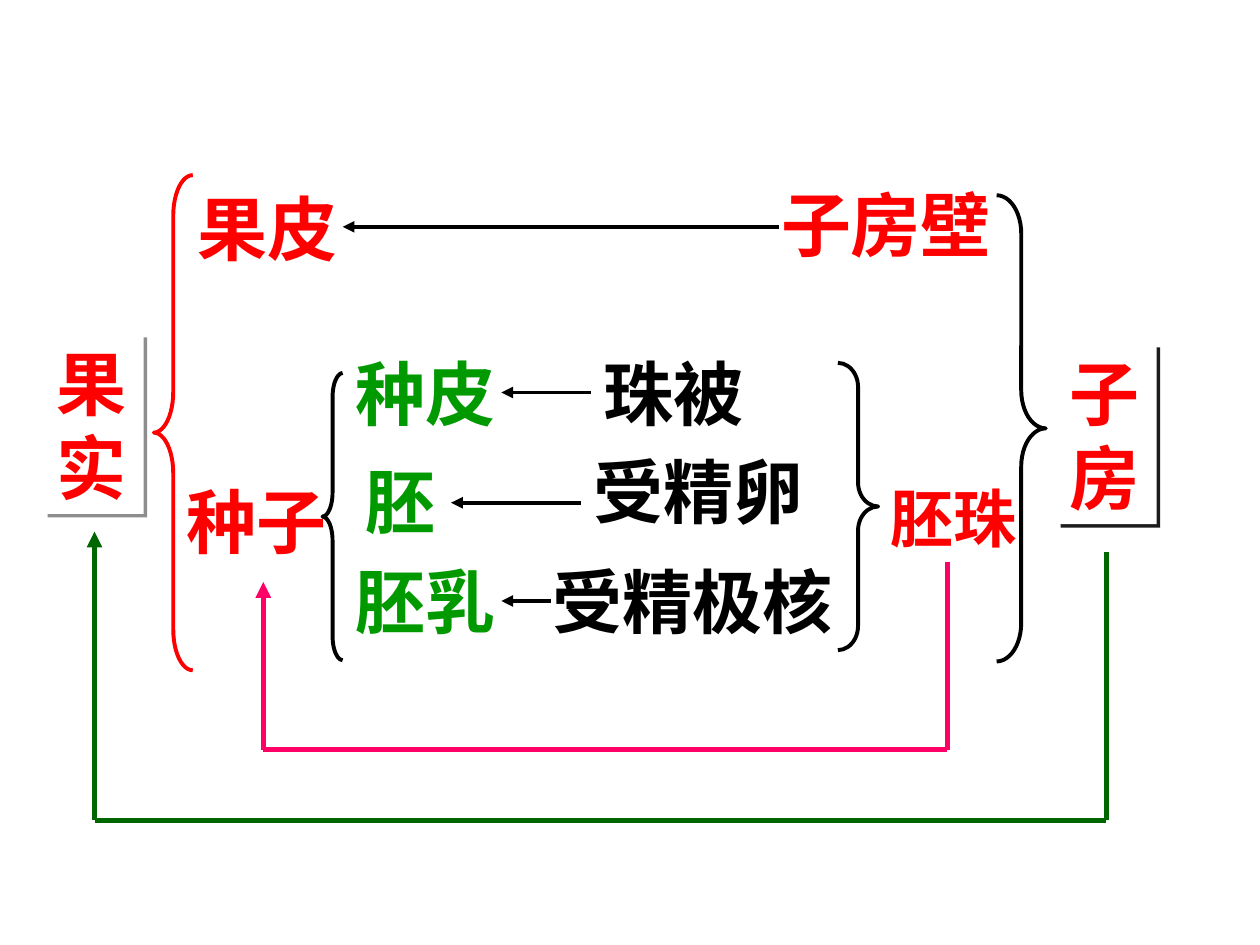
from lxml import etree
from pptx import Presentation
from pptx.dml.color import RGBColor
from pptx.enum.shapes import MSO_CONNECTOR, MSO_SHAPE
from pptx.enum.text import MSO_ANCHOR, MSO_AUTO_SIZE, PP_ALIGN
from pptx.oxml.ns import qn
from pptx.util import Inches, Pt

STRAIGHT = MSO_CONNECTOR.STRAIGHT
RECTANGLE = MSO_SHAPE.RECTANGLE
LEFT_BRACE, RIGHT_BRACE = MSO_SHAPE.LEFT_BRACE, MSO_SHAPE.RIGHT_BRACE
TOP, LEFT = MSO_ANCHOR.TOP, PP_ALIGN.LEFT
GROW = MSO_AUTO_SIZE.SHAPE_TO_FIT_TEXT
LEFT_SIDE = 1

COLORS = {
    "red": "FF0000", "black": "000000", "green": "009900", "white": "FFFFFF",
    "pink": "FF0066", "dark green": "006600", "shadow": "1C1C1C",
}
RGB = {name: RGBColor.from_string(value) for name, value in COLORS.items()}
SANS, SERIF = "Noto Sans CJK SC", "Times New Roman"

deck = Presentation()
deck.slide_width, deck.slide_height = Inches(10), Inches(7.5)
page = deck.slides.add_slide(deck.slide_layouts[6])
column, row = deck.slide_width / 100, deck.slide_height / 75


def write(box, text, font, size, color, wrap):
    frame = box.text_frame
    frame_format = {"word_wrap": wrap, "auto_size": GROW, "vertical_anchor": TOP}
    for name, value in frame_format.items():
        setattr(frame, name, value)
    para = frame.paragraphs[0]
    para.alignment = LEFT
    span = para.add_run()
    span.text = text
    for name, value in {"name": font, "size": Pt(size), "bold": True}.items():
        setattr(span.font, name, value)
    span.font.color.rgb = RGB[color]
    etree.SubElement(span.font._element, qn("a:ea"), typeface=SANS)


def draw_line(start, end, color, weight, arrow):
    line = page.shapes.add_connector(
        STRAIGHT, int(start[0] * column), int(start[1] * row),
        int(end[0] * column), int(end[1] * row))
    line.line.color.rgb = RGB[color]
    line.line.width = Pt(weight)
    if arrow:
        etree.SubElement(line.line._get_or_add_ln(), qn("a:tailEnd"), type="triangle")
    etree.SubElement(line._element.spPr, qn("a:effectLst"))
    return line


labels = [
    ("子房壁", 61, 13.9, 20.8, SERIF, 40, "red", True),
    ("果皮", 14.7, 14.2, 13.3, SANS, 40, "red", True),
    ("珠被", 46.9, 27.3, 13.1, SERIF, 40, "black", False),
    ("种皮", 27.2, 27.3, 13.3, SERIF, 40, "green", True),
    ("胚乳", 27.2, 43.8, 13.1, SERIF, 40, "green", False),
    ("胚", 28, 35.9, 7.6, SERIF, 40, "green", False),
    ("受精极核", 42.9, 43.8, 24.2, SERIF, 40, "black", False),
    ("受精卵", 46.1, 35.1, 18.7, SERIF, 40, "black", False),
    ("种子", 13.8, 37.5, 13.4, SERIF, 40, "red", True),
    ("胚珠", 69.7, 37.6, 12.6, SERIF, 36, "red", True),
]
boxes = {}
for text, left, top, width, font, size, color, wrap in labels:
    height = 7.7 if size == 40 else 7
    boxes[text] = page.shapes.add_textbox(
        int(left * column), int(top * row), int(width * column), int(height * row))
    write(boxes[text], text, font, size, color, wrap)

braces = [
    (LEFT_BRACE, 12.2, 13.9, 3.1, 39.3, 1.04, 0.52, "red"),
    (LEFT_BRACE, 25.6, 29.6, 1.6, 22.8, 1.21, 0.5, "black"),
    (RIGHT_BRACE, 66.5, 28.8, 3.2, 22.8, 0.6, 0.5, "black"),
    (RIGHT_BRACE, 79.1, 15.5, 3.9, 37, 0.78, 0.5, "black"),
]
for kind, left, top, width, height, curve, point, color in braces:
    brace = page.shapes.add_shape(
        kind, int(left * column), int(top * row), int(width * column), int(height * row))
    brace.adjustments[0], brace.adjustments[1] = curve, point
    brace.shadow.inherit = False
    brace.fill.background()
    brace.line.color.rgb = RGB[color]
    brace.line.width = Pt(2.25)

for text, left, top, opacity in [("果实", 3.5, 26.5, 50), ("子房", 83.9, 27.3, 100)]:
    card = page.shapes.add_shape(
        RECTANGLE, int(left * column), int(top * row), int(7.9 * column), int(14.3 * row))
    card.fill.solid()
    card.fill.fore_color.rgb = RGB["white"]
    card.line.fill.background()
    card.shadow.inherit = False
    effects = card._element.spPr.find(qn("a:effectLst"))
    shadow = etree.SubElement(
        effects, qn("a:outerShdw"), dist=str(Pt(2.8)), dir=str(45 * 60000),
        algn="ctr", rotWithShape="0")
    tint = etree.SubElement(shadow, qn("a:srgbClr"), val=COLORS["shadow"])
    etree.SubElement(tint, qn("a:alpha"), val=str(opacity * 1000))
    write(card, text, SANS, 40, "red", True)

arrows = [
    ("子房壁", 61.8, 27.2, 18),
    ("珠被", 46.9, 39.8, 31.15),
    ("受精卵", 46.1, 35.8, 39.9),
    ("受精极核", 43.7, 39.8, 47.7),
]
for source, start, end, level in arrows:
    arrow = draw_line((start, level), (end, level), "black", 2.25, True)
    if source == "珠被":
        arrow.begin_connect(boxes[source], LEFT_SIDE)

routes = [
    ("pink", [(75.2, 44.6), (75.2, 59.5), (20.9, 59.5), (20.9, 46.2)]),
    ("dark green", [(87.8, 43.8), (87.8, 65.1), (7.5, 65.1), (7.5, 42.2)]),
]
for color, corners in routes:
    for start, end in zip(corners, corners[1:]):
        draw_line(start, end, color, 3, end == corners[-1])

deck.save("out.pptx")
